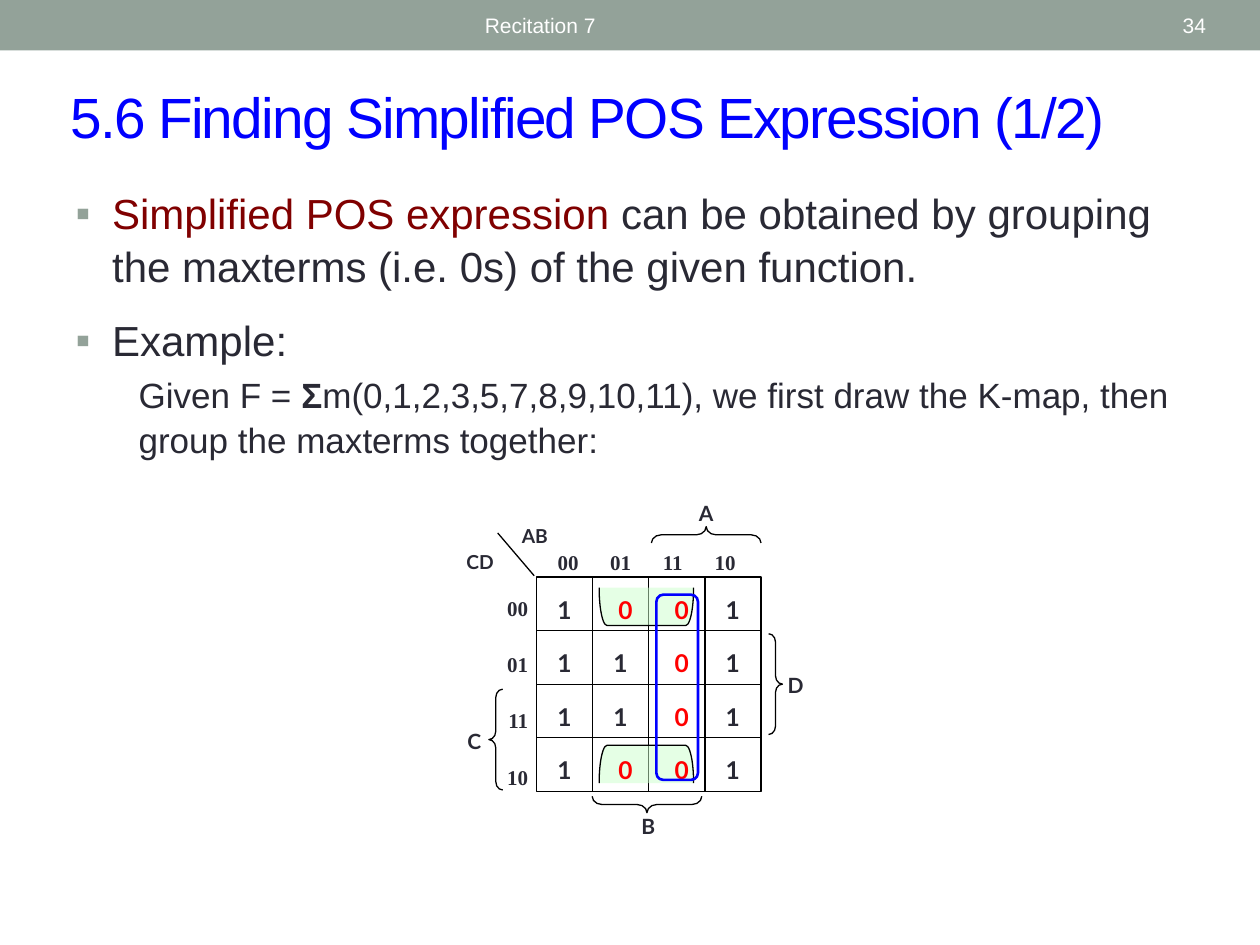
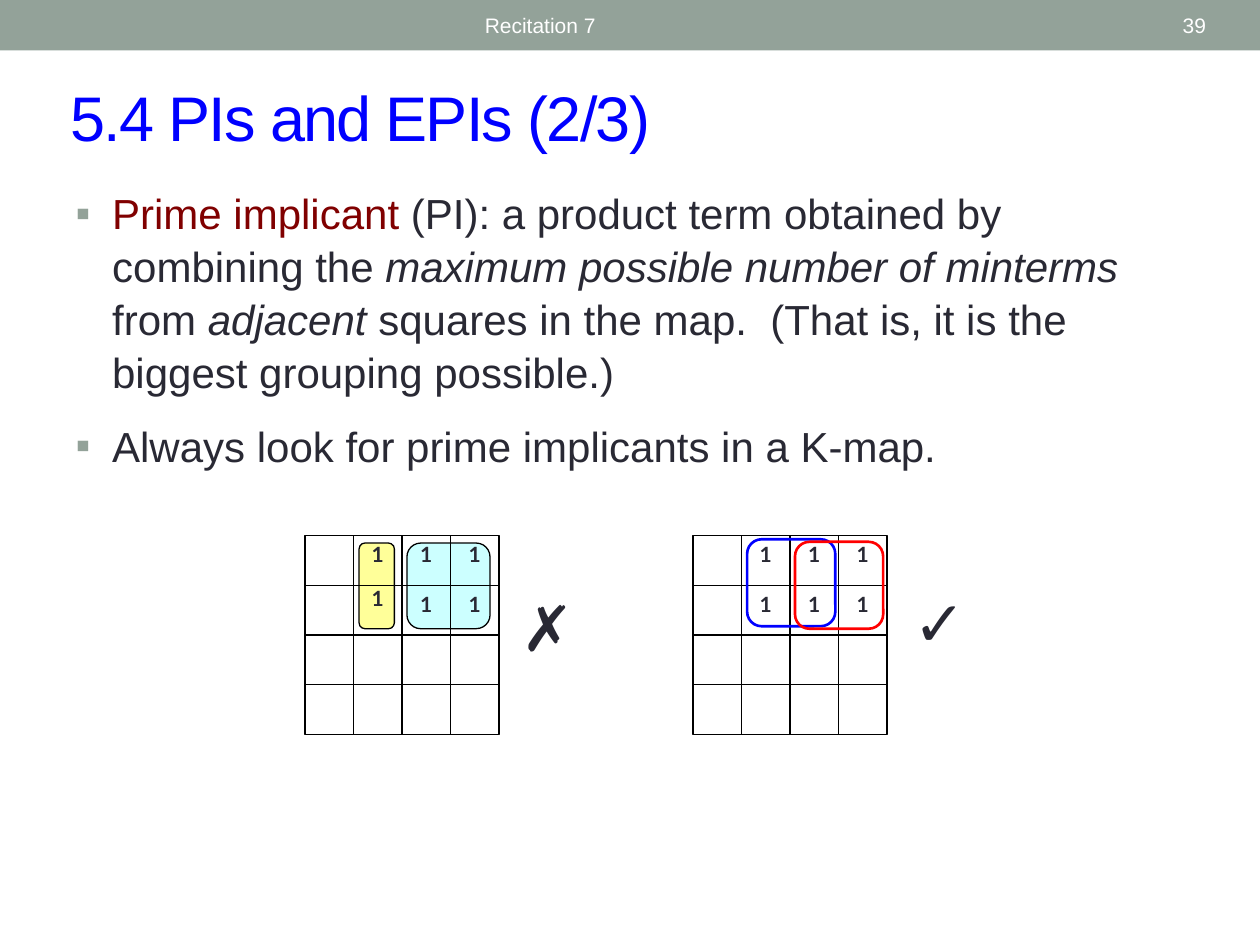
from lxml.etree import SubElement
from pptx import Presentation
from pptx.dml.color import RGBColor as RGB
from pptx.enum.shapes import MSO_CONNECTOR as Link, MSO_SHAPE as Kind
from pptx.enum.text import MSO_ANCHOR as Anchor, MSO_AUTO_SIZE as Fit, PP_ALIGN as Align
from pptx.oxml.ns import qn
from pptx.util import Inches, Pt

BAND = RGB(0x93, 0xA2, 0x99)
INK = RGB(0x29, 0x29, 0x34)
MAROON = RGB(0x80, 0, 0)
BLUE = RGB(0, 0, 0xFF)
RED = RGB(0xFF, 0, 0)
BLACK = RGB(0, 0, 0)
WHITE = RGB(0xFF, 0xFF, 0xFF)
MINT = RGB(0xCC, 0xFF, 0xCC)
CYAN = RGB(0xCC, 0xFF, 0xFF)
YELLOW = RGB(0xFF, 0xFF, 0x99)
SANS, MAP, SERIF = "Arial", "Lato", "Times New Roman"

FOOTER = "Recitation 7"

# A run is (text, style); styles: "" plain, "key" maroon, "i" italic, "b" bold.
# A paragraph is (level, points before it, runs).
POS = {
    "title": "5.6 Finding Simplified POS Expression (1/2)", "size": 32.4, "page": "34",
    "body": [
        (0, 5, [("Simplified POS expression", "key"),
                (" can be obtained by grouping the maxterms (i.e. 0s) "
                 "of the given function.", "")]),
        (0, 12, [("Example:", "")]),
        (1, 4, [("Given F = ", ""), ("Σ", "b"),
                ("m(0,1,2,3,5,7,8,9,10,11), we first draw the K-map, "
                 "then group the maxterms together:", "")]),
    ],
}
PI = {
    "title": "5.4 PIs and EPIs (2/3)", "size": 36, "page": "39",
    "body": [
        (0, 5, [("Prime implicant", "key"),
                (" (PI): a product term obtained by combining the ", ""),
                ("maximum possible number of minterms", "i"), (" from ", ""),
                ("adjacent", "i"),
                (" squares in the map.  (That is, it is the biggest "
                 "grouping possible.)", "")]),
        (0, 12, [("Always look for prime implicants in a K-map.", "")]),
    ],
}

GRAY = ["00", "01", "11", "10"]
TRUTH = ["1001", "1101", "1101", "1001"]
BOX = (4.26, 4.58, 1.78, 1.7)
NAMES = [  # text, box, size
    ("A", (5.44, 3.92, 0.33, 0.27), 12), ("B", (4.98, 6.41, 0.33, 0.27), 12),
    ("C", (3.6, 5.73, 0.33, 0.34), 12), ("D", (6.15, 5.29, 0.33, 0.34), 12),
    ("CD", (3.5, 4.32, 0.62, 0.29), 11), ("AB", (3.99, 4.11, 0.51, 0.29), 11),
]
BRACES = [  # unrotated box, turn, flip
    ((5.54, 3.81, 0.13, 0.87), 90, "V"), ((5.07, 5.95, 0.13, 0.87), 270, ""),
    ((3.88, 5.47, 0.11, 0.8), 0, ""), ((6.1, 5.03, 0.11, 0.8), 0, "H"),
]
WRAPS = [  # halves of the group that wraps from the top row to the bottom row
    ((4.98, 5.69, 0.3, 0.75), 90, "H"), ((4.98, 4.44, 0.3, 0.75), 270, "HV"),
]

ONES = [(0, 1), (0, 2), (0, 3), (1, 2), (1, 3)]
MAPS = [  # groups are (box, fill, line, width)
    {"box": (2.42, 4.25, 1.54, 1.58), "ones": ONES + [(0.88, 1)],
     "under": [((3.23, 4.31, 0.66, 0.68), CYAN, BLACK, 0.75),
               ((2.85, 4.31, 0.28, 0.68), YELLOW, BLACK, 0.75)],
     "over": [], "mark": ("✗", (4.04, 4.62, 0.77, 0.92))},
    {"box": (5.5, 4.25, 1.54, 1.58), "ones": ONES + [(1, 1)],
     "under": [],
     "over": [((5.93, 4.28, 0.7, 0.69), None, BLUE, 1.5),
              ((6.31, 4.3, 0.7, 0.69), None, RED, 1.5)],
     "mark": ("✓", (7.15, 4.58, 0.77, 0.92))},
]


def inch(box):
    return [Inches(v) for v in box]


def style(run, size, color=INK, font=SANS, bold=None):
    run.font.size, run.font.name, run.font.bold = Pt(size), font, bold
    run.font.color.rgb = color


def label(slide, text, box, size, color=INK, font=SANS, align=Align.LEFT,
          anchor=Anchor.TOP):
    frame = slide.shapes.add_textbox(*inch(box)).text_frame
    frame.word_wrap, frame.vertical_anchor = True, anchor
    if align == Align.CENTER:
        frame.margin_left = frame.margin_right = 0
    para = frame.paragraphs[0]
    para.text, para.alignment = text, align
    style(para.runs[0], size, color, font, font != SANS)


def shape(slide, kind, box, fill=None, line=BLACK, width=0.75, turn=0, flip="", adj=None):
    item = slide.shapes.add_shape(kind, *inch(box))
    item.shadow.inherit = False
    if fill is None:
        item.fill.background()
    else:
        item.fill.solid()
        item.fill.fore_color.rgb = fill
    if line is None:
        item.line.fill.background()
    else:
        item.line.color.rgb, item.line.width = line, Pt(width)
    item.rotation = turn
    for axis in flip:
        item._element.spPr.xfrm.set("flip" + axis, "1")
    if adj is not None:
        item.adjustments[0] = adj
    return item


def rule(slide, x1, y1, x2, y2):
    item = slide.shapes.add_connector(Link.STRAIGHT, *inch((x1, y1, x2, y2)))
    item.line.color.rgb, item.line.width = BLACK, Pt(0.75)
    SubElement(item._element.spPr, qn("a:effectLst"))


def grid(slide, box):
    """Draw a four by four frame and return the cell width and height."""
    x, y, w, h = box
    shape(slide, Kind.RECTANGLE, box)
    for i in range(1, 4):
        rule(slide, x, y + h * i / 4, x + w, y + h * i / 4)
        rule(slide, x + w * i / 4, y, x + w * i / 4, y + h)
    return w / 4, h / 4


def bullet(para, level):
    props = para._p.get_or_add_pPr()
    left, hang = [(0.29, -0.29), (0.5, 0)][level]
    props.set("marL", str(Inches(left)))
    props.set("indent", str(Inches(hang)))
    if level:
        SubElement(props, qn("a:buNone"))
        return
    SubElement(SubElement(props, qn("a:buClr")), qn("a:srgbClr"), val=str(BAND))
    SubElement(props, qn("a:buFont"), typeface=SANS)
    SubElement(props, qn("a:buChar"), char="▪")


def place(holder, box, anchor):
    holder.left, holder.top, holder.width, holder.height = inch(box)
    frame = holder.text_frame
    frame.auto_size, frame.vertical_anchor = Fit.NONE, anchor
    return frame


def start(deck, page):
    """Add a slide with its title, footer and bullet list."""
    slide = deck.slides.add_slide(deck.slide_layouts[1])
    title, body = slide.placeholders
    head = place(title, (0.46, 0.57, 9.07, 0.7), Anchor.MIDDLE)
    head.text = page["title"]
    head.paragraphs[0].alignment = Align.LEFT
    run = head.paragraphs[0].runs[0]
    style(run, page["size"], BLUE)
    run._r.get_or_add_rPr().set("spc", "-100")

    for text, box, align in [(FOOTER, (3.75, 0.02, 4.5, 0.36), Align.LEFT),
                             (page["page"], (8.72, 0.02, 0.95, 0.36), Align.RIGHT)]:
        label(slide, text, box, 12, WHITE, align=align, anchor=Anchor.MIDDLE)

    frame = place(body, (0.5, 1.42, 9, 2.4), Anchor.TOP)
    for i, (level, gap, runs) in enumerate(page["body"]):
        para = frame.add_paragraph() if i else frame.paragraphs[0]
        para.level, para.line_spacing, para.space_before = level, 1.05, Pt(gap)
        bullet(para, level)
        for text, look in runs:
            run = para.add_run()
            run.text = text
            style(run, 20 if level else 24, MAROON if look == "key" else INK)
            run.font.bold, run.font.italic = look == "b", look == "i"
    return slide


def add_band(deck, slide):
    """Put the top band on the master, behind everything."""
    band = shape(slide, Kind.RECTANGLE, (0, 0, 10, 0.4), BAND, None)
    deck.slide_master.shapes._spTree.insert(2, band._element)


def draw_pos(slide):
    x, y, _, _ = BOX
    wide, high = grid(slide, BOX)
    rule(slide, 4.24, 4.57, 3.95, 4.23)
    for box, turn, flip in BRACES:
        shape(slide, Kind.LEFT_BRACE, box, turn=turn, flip=flip, adj=0.6)
    for box, turn, flip in WRAPS:
        half = shape(slide, Kind.RIGHT_BRACKET, box, MINT, turn=turn, flip=flip, adj=0.21)
        tint = half._element.spPr.find(qn("a:solidFill"))[0]
        SubElement(tint, qn("a:alpha"), val="50000")
    for text, box, size in NAMES:
        label(slide, text, box, size, font=MAP, align=Align.CENTER)
    for i, code in enumerate(GRAY):
        label(slide, code, (4.31 + 0.415 * i, 4.31, 0.4, 0.3), 12, font=SERIF,
              align=Align.CENTER)
        label(slide, code, (3.7, 4.68 + 0.445 * i, 0.59, 0.3), 12, font=SERIF,
              align=Align.RIGHT)
    for r, row in enumerate(TRUTH):
        for c, bit in enumerate(row):
            color, nudge = (RED, 0.04) if bit == "0" else (INK, 0)
            label(slide, bit, (x + wide * c + nudge, y + 0.09 + high * r, 0.44, 0.34),
                  14, color, MAP, Align.CENTER)
    shape(slide, Kind.ROUNDED_RECTANGLE, (5.21, 4.72, 0.33, 1.47), line=BLUE, width=1.5)


def draw_pi(slide):
    for item in MAPS:
        x, y, _, _ = item["box"]
        for group in item["under"]:
            shape(slide, Kind.ROUNDED_RECTANGLE, *group)
        wide, high = grid(slide, item["box"])
        for r, c in item["ones"]:
            label(slide, "1", (x + wide * c, y + high * r, wide, high), 12,
                  font=MAP, align=Align.CENTER)
        for group in item["over"]:
            shape(slide, Kind.ROUNDED_RECTANGLE, *group)
        label(slide, *item["mark"], 36)


def main():
    deck = Presentation()
    deck.slide_width, deck.slide_height = Inches(10), Inches(7.5)
    first = start(deck, POS)
    add_band(deck, first)
    draw_pos(first)
    draw_pi(start(deck, PI))
    deck.save("out.pptx")


if __name__ == "__main__":
    main()
